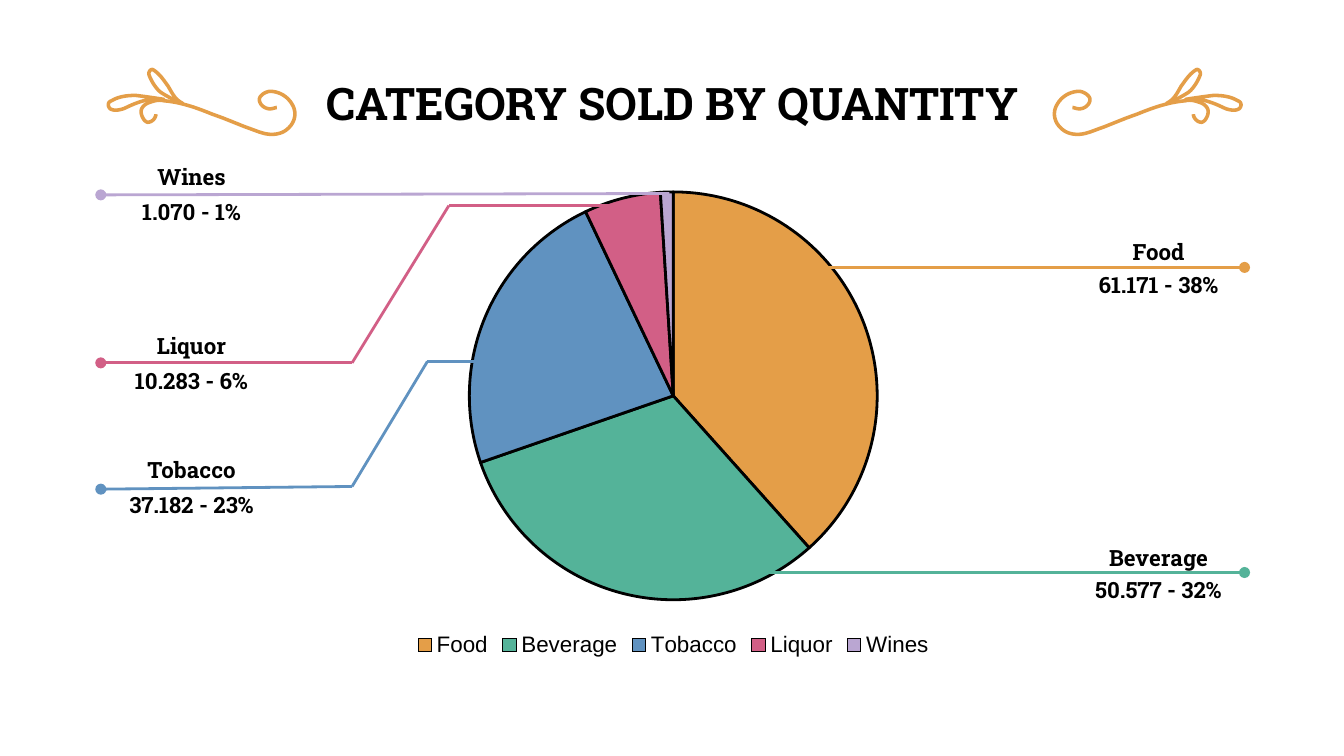
"""Build a slide with a pie of categories sold, callouts and scroll ornaments."""
from lxml import etree
from pptx import Presentation
from pptx.chart.data import CategoryChartData
from pptx.dml.color import RGBColor
from pptx.enum import chart as ec, shapes as es, text as et
from pptx.oxml import ns
from pptx.util import Inches, Pt

BLACK = RGBColor(0, 0, 0)
WHITE = RGBColor(255, 255, 255)
GOLD = RGBColor(0xE4, 0x9E, 0x48)
GREEN = RGBColor(0x54, 0xB3, 0x99)
BLUE = RGBColor(0x60, 0x92, 0xC0)
PINK = RGBColor(0xD2, 0x5F, 0x86)
LILAC = RGBColor(0xBA, 0xA6, 0xD2)

TITLE = "CATEGORY SOLD BY QUANTITY"
ITEMS = [
    ("Food", 38, GOLD, "61.171 - 38%", 1.99, [(5.89, 1.99), (9.26, 1.99)]),
    ("Beverage", 31, GREEN, "50.577 - 32%", 4.26, [(5.37, 4.26), (9.26, 4.26)]),
    ("Tobacco", 23, BLUE, "37.182 - 23%", 3.62,
     [(3.76, 2.69), (3.18, 2.69), (2.62, 3.62), (0.75, 3.64)]),
    ("Liquor", 6, PINK, "10.283 - 6%", 2.7,
     [(4.65, 1.53), (3.34, 1.53), (2.62, 2.7), (0.75, 2.7)]),
    ("Wines", 1, LILAC, "1.070 - 1%", 1.44, [(4.98, 1.44), (0.75, 1.45)]),
]
LEFT = {"x": 0.75, "w": 1.35, "h": 0.27, "rise": 0.26}
RIGHT = {"x": 7.98, "w": 1.28, "h": 0.25, "rise": 0.24}

AXIS = 5.02
CURVES = [
    [(8.68, .77), (8.74, .74), (8.76, .69), (8.79, .64),
     (8.82, .6), (8.85, .55), (8.9, .52), (8.91, .51), (8.94, .53), (8.93, .56),
     (8.91, .61), (8.88, .66), (8.84, .69), (8.79, .72), (8.74, .75), (8.68, .77)],
    [(8.82, .74), (8.88, .73), (8.95, .72), (9.03, .71),
     (9.1, .71), (9.16, .72), (9.21, .75), (9.24, .76), (9.24, .79), (9.22, .81),
     (9.2, .82), (9.19, .82), (9.18, .82), (9.15, .82), (9.12, .81), (9.1, .8),
     (9.06, .78), (9.01, .76), (8.97, .75), (8.92, .74), (8.87, .74), (8.82, .74)],
    [(7.98, .8), (7.99, .8), (8.01, .81), (8.03, .81),
     (8.07, .81), (8.11, .78), (8.11, .74), (8.11, .71), (8.06, .68), (8.03, .68),
     (7.96, .68), (7.9, .72), (7.87, .77), (7.83, .83), (7.84, .9), (7.89, .95),
     (7.92, .98), (7.96, 1), (8.02, 1), (8.08, 1), (8.14, .97), (8.2, .95),
     (8.28, .92), (8.37, .88), (8.46, .85), (8.58, .8), (8.7, .76), (8.82, .75),
     (8.86, .74), (8.89, .75), (8.92, .76), (8.96, .77), (8.99, .8), (8.99, .83),
     (8.99, .87), (8.96, .91), (8.94, .91), (8.91, .91), (8.88, .88), (8.88, .85)],
]


def write(slide, words, x, y, w, h, size=12, font="Roboto Slab", color=BLACK):
    box = slide.shapes.add_textbox(Inches(x), Inches(y), Inches(w), Inches(h))
    frame = box.text_frame
    frame.word_wrap = True
    frame.vertical_anchor = et.MSO_ANCHOR.MIDDLE
    for side in ("left", "right", "top", "bottom"):
        setattr(frame, "margin_" + side, Inches(0.1))
    para = frame.paragraphs[0]
    para.alignment = et.PP_ALIGN.CENTER
    run = para.add_run()
    run.text = words
    run.font.size = Pt(size)
    run.font.name = font
    run.font.bold = True
    run.font.color.rgb = color


def trace(knots, steps=10):
    dots = [knots[0]]
    for i in range(0, len(knots) - 1, 3):
        a, b, c, d = knots[i:i + 4]
        for n in range(1, steps + 1):
            t = n / steps
            s = 1 - t
            dots.append(tuple(
                s**3 * p + 3 * s * s * t * q + 3 * s * t * t * r + t**3 * e
                for p, q, r, e in zip(a, b, c, d)))
    return dots


def scroll(slide, flip):
    for knots in CURVES:
        dots = [(Inches(2 * AXIS - x if flip else x), Inches(y)) for x, y in trace(knots)]
        pen = slide.shapes.build_freeform(*dots[0])
        pen.add_line_segments(dots[1:], close=False)
        shape = pen.convert_to_shape()
        shape.shadow.inherit = False
        shape.fill.background()
        shape.line.color.rgb = GOLD
        shape.line.width = Pt(1.9)


def lead(slide, dots, color):
    for start, end in zip(dots, dots[1:]):
        line = slide.shapes.add_connector(
            es.MSO_CONNECTOR.STRAIGHT, *(Inches(v) for v in start + end))
        line.line.color.rgb = color
        line.line.width = Pt(1.5)
        if end == dots[-1]:
            etree.SubElement(line.line._get_or_add_ln(), ns.qn("a:tailEnd"), type="oval")
        etree.SubElement(line._element.spPr, ns.qn("a:effectLst"))


def pie(slide):
    data = CategoryChartData()
    data.categories = [item[0] for item in ITEMS]
    data.add_series("Series 1", [item[1] for item in ITEMS])
    chart = slide.shapes.add_chart(
        ec.XL_CHART_TYPE.PIE, Inches(2.16), Inches(1.29), Inches(5.7), Inches(3.64), data).chart
    chart.has_title = False
    chart.font.size = Pt(10)
    chart.font.name = "Arial"
    chart.font.color.rgb = WHITE
    chart.has_legend = True
    key = chart.legend
    key.position = ec.XL_LEGEND_POSITION.BOTTOM
    key.include_in_layout = False
    key.font.size = Pt(12)
    key.font.name = "Arial"
    key.font.color.rgb = BLACK
    plot = chart.plots[0]
    plot.vary_by_categories = True
    for i, item in enumerate(ITEMS):
        form = plot.series[0].points[i].format
        form.fill.solid()
        form.fill.fore_color.rgb = item[2]
        form.line.color.rgb = BLACK
        form.line.width = Pt(1.5)


def main():
    deck = Presentation()
    deck.slide_width = Inches(10)
    deck.slide_height = deck.slide_width * 9 // 16
    slide = deck.slides.add_slide(deck.slide_layouts[6])
    for flip in (False, True):
        scroll(slide, flip)
    write(slide, TITLE, 0.77, 0.39, 8.47, 0.74, size=24)
    pie(slide)
    for name, share, color, note, y, dots in ITEMS:
        side = RIGHT if dots[-1][0] > AXIS else LEFT
        for words, top in ((name, y - side["rise"]), (note, y)):
            write(slide, words, side["x"], top, side["w"], side["h"])
        lead(slide, dots, color)
    deck.save("out.pptx")


if __name__ == "__main__":
    main()
